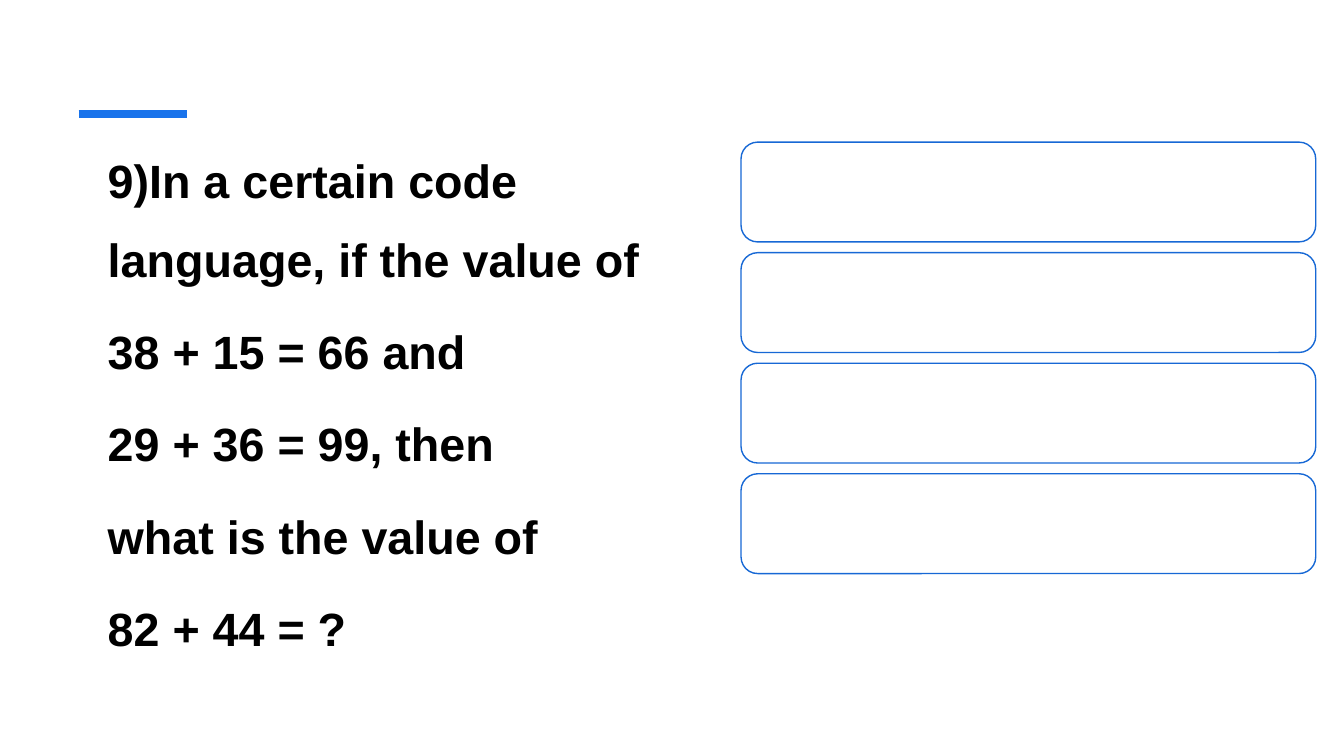
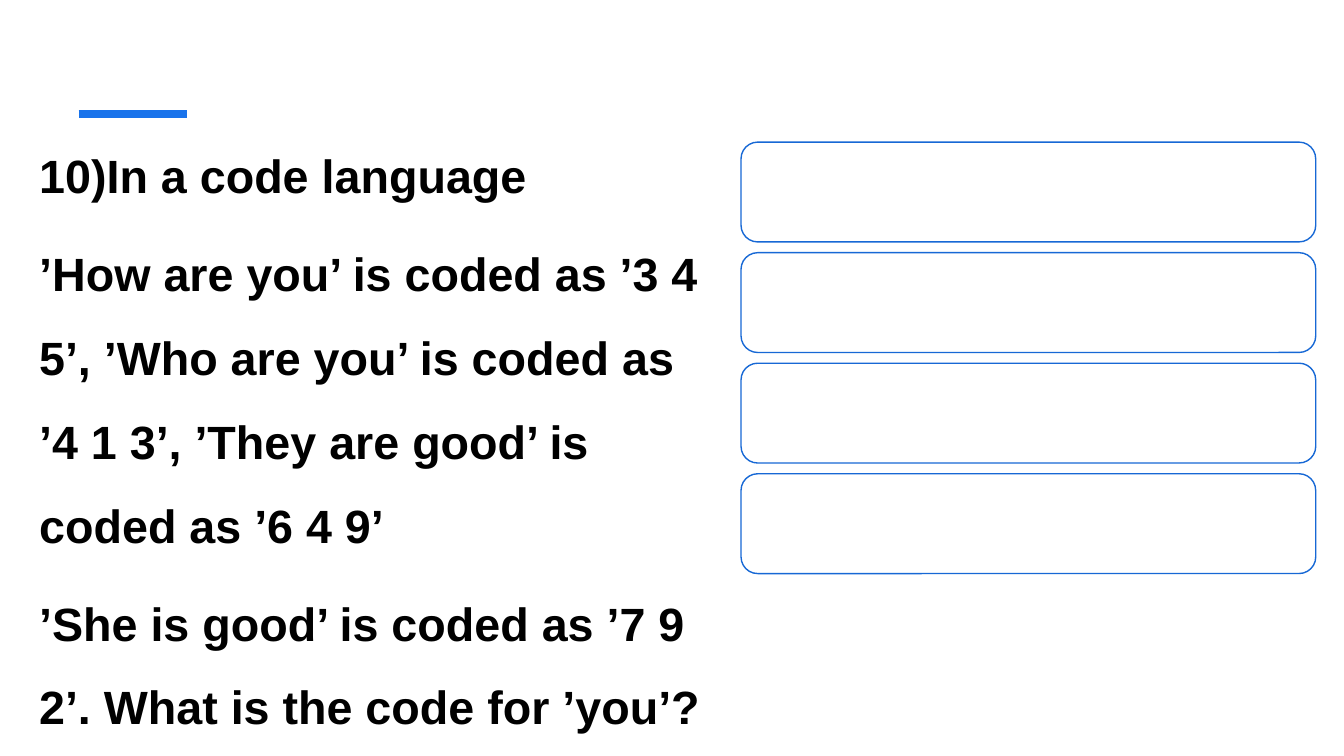
from dataclasses import dataclass

from lxml.etree import SubElement
from pptx import Presentation
from pptx.dml.color import RGBColor
from pptx.enum.shapes import MSO_CONNECTOR as Connector, MSO_SHAPE as Shape
from pptx.enum.text import MSO_ANCHOR as Anchor
from pptx.oxml.ns import qn
from pptx.slide import Slide
from pptx.util import Inches, Pt

COLORS = {
    "paper": "FFFFFF",
    "accent": "1973EB",
    "outline": "1768D5",
    "text": "000000",
}
FONT = "Arial"
ANSWER_COUNT = 4
ANSWER_FIRST_TOP = 1.41
ANSWER_LAST_TOP = 4.7


@dataclass(frozen=True)
class Paragraph:
    text: str
    line_spacing: float


@dataclass(frozen=True)
class Question:
    left: float
    width: float
    paragraphs: tuple[Paragraph, ...]


QUESTIONS = (
    Question(0.97, 5.87, tuple(Paragraph(text, 1.4) for text in (
        "9)In a certain code language, if the value of",
        "38 + 15 = 66 and",
        "29 + 36 = 99, then",
        "what is the value of",
        "82 + 44 = ?",
    ))),
    Question(0.29, 6.84, (
        Paragraph("10)In a code language", 1.3),
        Paragraph("’How are you’ is coded as ’3 4 5’, ’Who are you’ is coded as "
                  "’4 1 3’, ’They are good’ is coded as ’6 4 9’", 1.5),
        Paragraph("’She is good’ is coded as ’7 9 2’. "
                  "What is the code for ’you’?", 1.5),
    )),
)


def color(name: str) -> RGBColor:
    return RGBColor.from_string(COLORS[name])


def add_accent(page: Slide) -> None:
    accent = page.shapes.add_connector(
        Connector.STRAIGHT, Inches(0.78), Inches(1.13), Inches(1.85), Inches(1.13))
    accent.line.color.rgb = color("accent")
    accent.line.width = Pt(6)
    SubElement(accent._element.spPr, qn("a:effectLst"))


def write_paragraph(para, text: str, *, line_spacing: float, size: float = 33.3,
                    space_before: float = 10, bold: bool = True,
                    fill: str = "text") -> None:
    para.line_spacing = line_spacing
    para.space_before = Pt(space_before)
    span = para.add_run()
    span.text = text
    span.font.name = FONT
    span.font.size = Pt(size)
    span.font.bold = bold
    span.font.color.rgb = color(fill)


def add_question(page: Slide, question: Question) -> None:
    box = page.shapes.add_textbox(
        Inches(question.left), Inches(1.24), Inches(question.width), Inches(5.37))
    frame = box.text_frame
    frame.word_wrap = True
    frame.vertical_anchor = Anchor.TOP
    for index, item in enumerate(question.paragraphs):
        para = frame.add_paragraph() if index else frame.paragraphs[0]
        write_paragraph(para, item.text, line_spacing=item.line_spacing)


def add_answer_boxes(page: Slide) -> None:
    group = page.shapes.add_group_shape()
    pitch = (ANSWER_LAST_TOP - ANSWER_FIRST_TOP) / (ANSWER_COUNT - 1)
    for index in range(ANSWER_COUNT):
        box = group.shapes.add_shape(
            Shape.ROUNDED_RECTANGLE, Inches(7.35),
            Inches(ANSWER_FIRST_TOP + index * pitch), Inches(5.7), Inches(0.99))
        box.shadow.inherit = False
        box.fill.solid()
        box.fill.fore_color.rgb = color("paper")
        box.line.color.rgb = color("outline")
        box.line.width = Pt(1)


def main() -> None:
    deck = Presentation()
    deck.slide_width = Inches(13.33)
    deck.slide_height = Inches(7.5)
    for question in QUESTIONS:
        page = deck.slides.add_slide(deck.slide_layouts[6])
        page.background.fill.solid()
        page.background.fill.fore_color.rgb = color("paper")
        add_accent(page)
        add_question(page, question)
        add_answer_boxes(page)
    deck.save("out.pptx")


if __name__ == "__main__":
    main()
